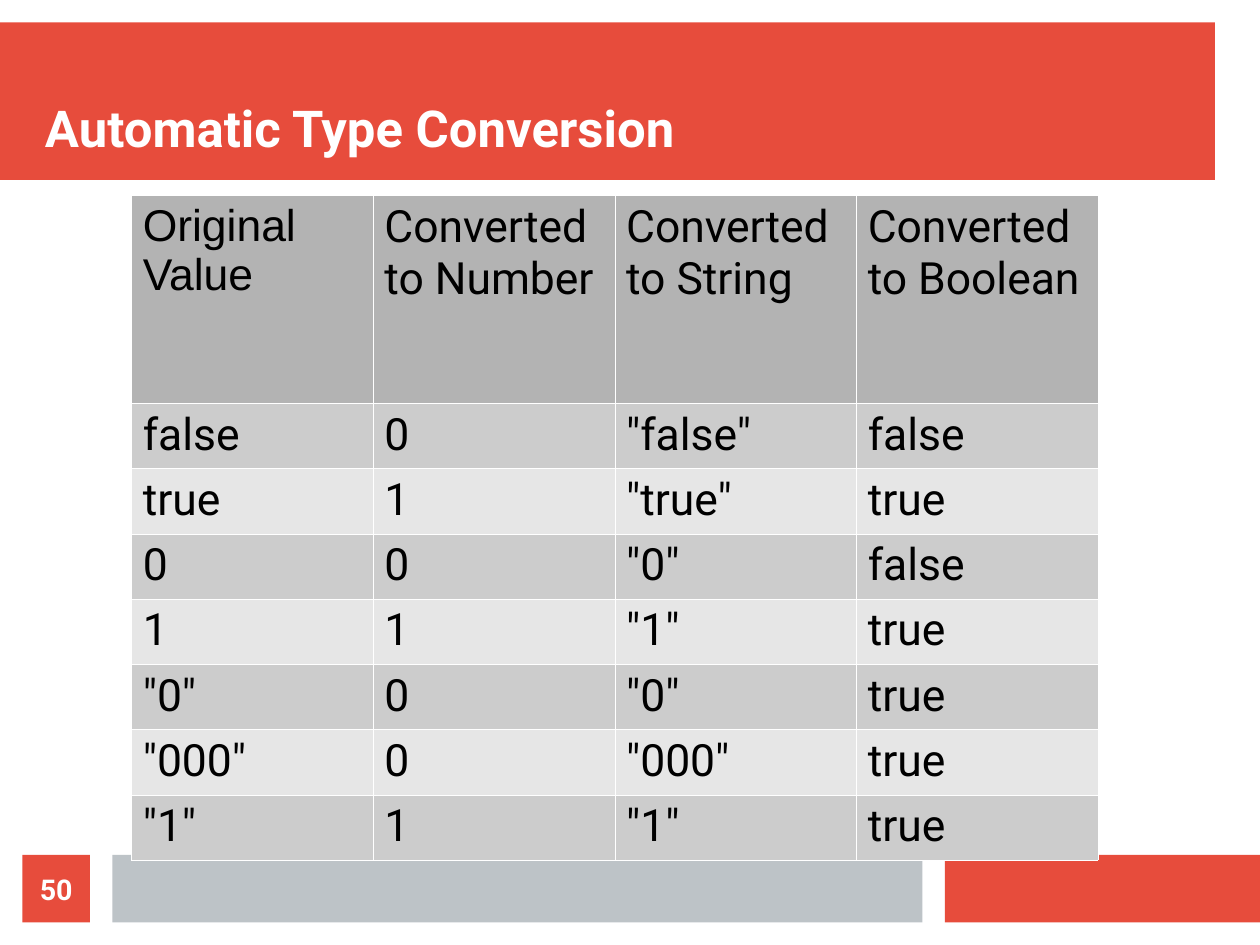
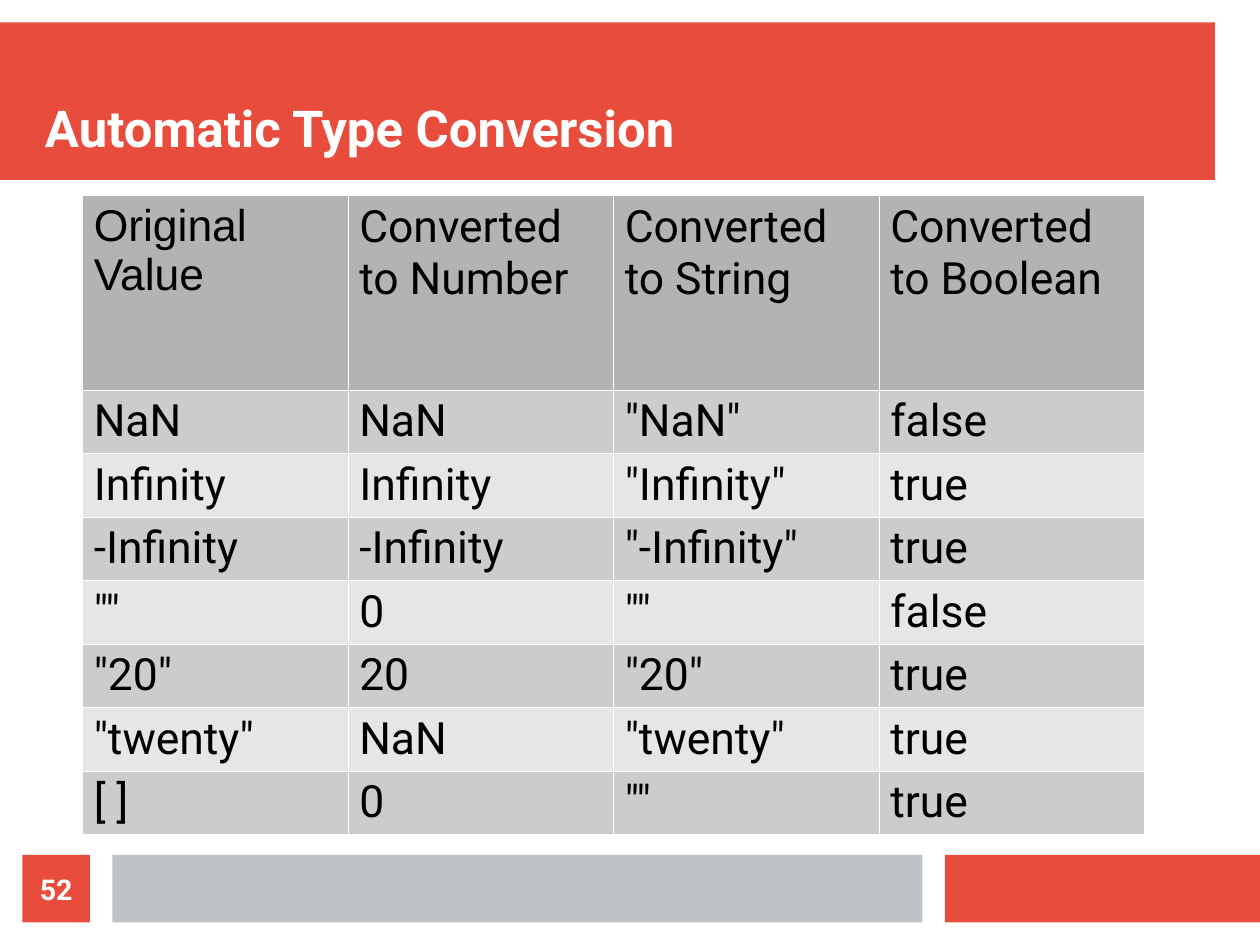
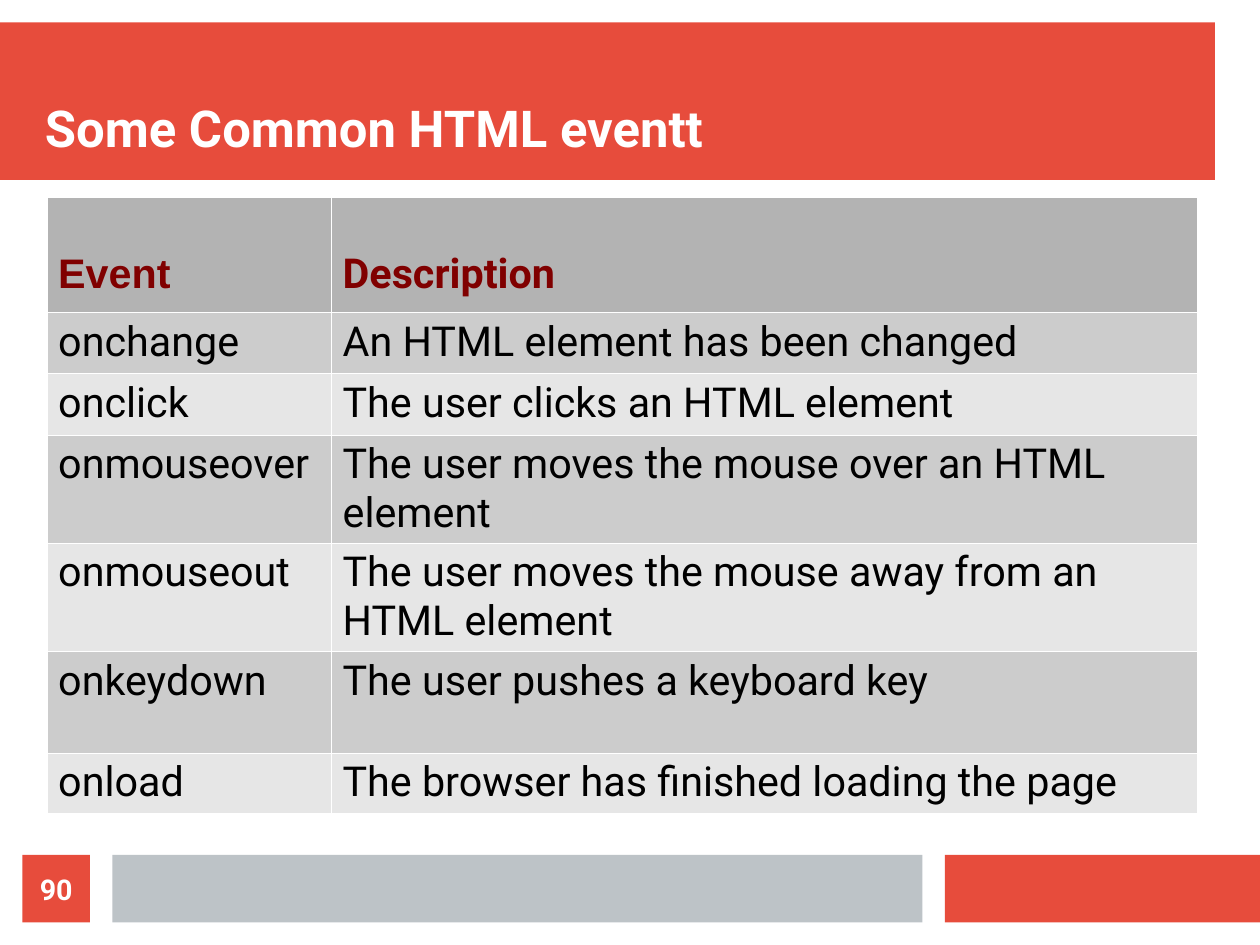
from dataclasses import dataclass
from typing import NamedTuple, Optional

from lxml import etree
from pptx import Presentation
from pptx import util as u
from pptx.dml.color import RGBColor
from pptx.enum import shapes, text
from pptx.oxml.ns import qn


@dataclass(frozen=True)
class Theme:
    accent: str = "E74C3C"
    footer: str = "BDC3C7"
    light: str = "FFFFFF"
    ink: str = "000000"
    event_heading: str = "800000"
    head_row: str = "B3B3B3"
    bands: tuple[str, str] = ("CCCCCC", "E6E6E6")
    font: str = "Roboto"
    corner_font: str = "Arial"
    title_size: float = 32
    number_size: float = 18
    conversion_size: float = 28
    event_size: float = 26
    border: float = 0.06


THEME = Theme()
COLUMNS, ROWS = 28, 21  # the slide is a grid of one-centimetre squares


class Box(NamedTuple):
    """Left, top, width and height in grid squares."""
    left: float
    top: float
    width: float
    height: float

    def lengths(self) -> list[u.Length]:
        return [u.Cm(side) for side in self]


class Band(NamedTuple):
    box: Box
    color: str


class TextStyle(NamedTuple):
    size: float
    color: str
    bold: bool = False
    font: str = THEME.font


@dataclass(frozen=True)
class TableSlide:
    title: str
    number: int
    left: float
    top: float
    widths: list[float]
    heights: list[float]
    rows: list[tuple[str, ...]]
    body: TextStyle
    heading: TextStyle
    heading_inset: Optional[float] = None


BANDS = [
    Band(Box(0, 0.5, 27, 3.5), THEME.accent),
    Band(Box(21, 19, 7, 1.5), THEME.accent),
    Band(Box(2.5, 19, 18, 1.5), THEME.footer),
]
NUMBER_TILE = Band(Box(0.5, 19, 1.5, 1.5), THEME.accent)
TITLE_BOX = Box(1, 1, 26, 2.5)

TITLE = TextStyle(THEME.title_size, THEME.light, True)
NUMBER = TextStyle(THEME.number_size, THEME.light, True)
CONVERSION = TextStyle(THEME.conversion_size, THEME.ink)
EVENT = TextStyle(THEME.event_size, THEME.ink)
EVENT_HEADING = TextStyle(THEME.event_size, THEME.event_heading, True)

CONVERSION_HEADINGS = ("Original\nValue", "Converted\nto Number",
                       "Converted\nto String", "Converted\nto Boolean")

SLIDES = [
    TableSlide(
        "Automatic Type Conversion", 50, 2.92, 4.34,
        [5.37] * 4, [4.62] + [1.45] * 7,
        [
            CONVERSION_HEADINGS,
            ("false", "0", '"false"', "false"),
            ("true", "1", '"true"', "true"),
            ("0", "0", '"0"', "false"),
            ("1", "1", '"1"', "true"),
            ('"0"', "0", '"0"', "true"),
            ('"000"', "0", '"000"', "true"),
            ('"1"', "1", '"1"', "true"),
        ],
        CONVERSION, CONVERSION,
    ),
    TableSlide(
        "Automatic Type Conversion", 52, 1.83, 4.34,
        [5.9] * 4, [4.32] + [1.36] * 7,
        [
            CONVERSION_HEADINGS,
            ("NaN", "NaN", '"NaN"', "false"),
            ("Infinity", "Infinity", '"Infinity"', "true"),
            ("-Infinity", "-Infinity", '"-Infinity"', "true"),
            ('""', "0", '""', "false"),
            ('"20"', "20", '"20"', "true"),
            ('"twenty"', "NaN", '"twenty"', "true"),
            ("[ ]", "0", '""', "true"),
        ],
        CONVERSION, CONVERSION,
    ),
    TableSlide(
        "Some Common HTML eventt", 90, 1.04, 4.37,
        [6.32, 19.25], [2.57, 1.36, 1.36, 2.31, 2.31, 2.26, 1.35],
        [
            ("Event", "Description"),
            ("onchange", "An HTML element has been changed"),
            ("onclick", "The user clicks an HTML element"),
            ("onmouseover", "The user moves the mouse over an HTML element"),
            ("onmouseout", "The user moves the mouse away from an HTML element"),
            ("onkeydown", "The user pushes a keyboard key"),
            ("onload", "The browser has finished loading the page"),
        ],
        EVENT, EVENT_HEADING, heading_inset=1.2,
    ),
]


def write(frame, words: str, style: TextStyle, align=text.PP_ALIGN.LEFT) -> None:
    paragraph = frame.paragraphs[0]
    paragraph.alignment = align
    for index, line in enumerate(words.split("\n")):
        if index:
            paragraph.add_line_break()
        run = paragraph.add_run()
        run.text = line
        run.font.name = style.font
        run.font.size = u.Pt(style.size)
        run.font.bold = style.bold
        run.font.color.rgb = RGBColor.from_string(style.color)


def clear_insets(frame, anchor) -> None:
    frame.margin_left = frame.margin_top = 0
    frame.margin_right = frame.margin_bottom = 0
    frame.vertical_anchor = anchor
    frame.auto_size = text.MSO_AUTO_SIZE.NONE
    frame.word_wrap = True


def draw_band(slide, band: Band):
    shape = slide.shapes.add_shape(shapes.MSO_SHAPE.RECTANGLE, *band.box.lengths())
    shape.shadow.inherit = False
    shape.fill.solid()
    shape.fill.fore_color.rgb = RGBColor.from_string(band.color)
    shape.line.fill.background()
    return shape


def move_bands_to_layout(slide) -> None:
    """Draw the shared bands once and hand them to the slide's layout."""
    tree = slide.slide_layout.shapes.element
    for index, band in enumerate(BANDS):
        element = draw_band(slide, band).element
        element.nvSpPr.cNvPr.set("id", str(100 + index))
        tree.insert(2 + index, element)


def add_title(slide, words: str) -> None:
    title = slide.shapes.title
    title.left, title.top, title.width, title.height = TITLE_BOX.lengths()
    clear_insets(title.text_frame, text.MSO_ANCHOR.BOTTOM)
    write(title.text_frame, words, TITLE)


def add_number(slide, number: int) -> None:
    frame = draw_band(slide, NUMBER_TILE).text_frame
    clear_insets(frame, text.MSO_ANCHOR.MIDDLE)
    write(frame, str(number), NUMBER, text.PP_ALIGN.CENTER)


def add_borders(cell) -> None:
    properties = cell._tc.get_or_add_tcPr()
    for index, side in enumerate(("a:lnL", "a:lnR", "a:lnT", "a:lnB")):
        line = etree.Element(qn(side), w=str(u.Pt(THEME.border)))
        fill = etree.SubElement(line, qn("a:solidFill"))
        etree.SubElement(fill, qn("a:srgbClr"), val=THEME.light)
        properties.insert(index, line)


def add_table(slide, content: TableSlide) -> None:
    box = Box(content.left, content.top, sum(content.widths), sum(content.heights))
    table = slide.shapes.add_table(
        len(content.heights), len(content.widths), *box.lengths()).table
    table.first_row = table.horz_banding = False
    for column, width in zip(table.columns, content.widths):
        column.width = u.Cm(width)
    for row, height in zip(table.rows, content.heights):
        row.height = u.Cm(height)
    for r, row_words in enumerate(content.rows):
        style = content.body if r else content.heading
        color = THEME.bands[(r - 1) % 2] if r else THEME.head_row
        for c, words in enumerate(row_words):
            cell = table.cell(r, c)
            cell.fill.solid()
            cell.fill.fore_color.rgb = RGBColor.from_string(color)
            add_borders(cell)
            if r == 0 and content.heading_inset is not None:
                cell.margin_top = u.Cm(content.heading_inset)
            is_corner = r == c == 0
            write(cell.text_frame, words,
                  style._replace(font=THEME.corner_font) if is_corner else style)


def main() -> None:
    deck = Presentation()
    deck.slide_width, deck.slide_height = u.Cm(COLUMNS), u.Cm(ROWS)
    title_only = deck.slide_layouts.get_by_name("Title Only")
    for index, content in enumerate(SLIDES):
        slide = deck.slides.add_slide(title_only)
        if index == 0:
            move_bands_to_layout(slide)
        add_title(slide, content.title)
        add_table(slide, content)
        add_number(slide, content.number)
    deck.save("out.pptx")


if __name__ == "__main__":
    main()
